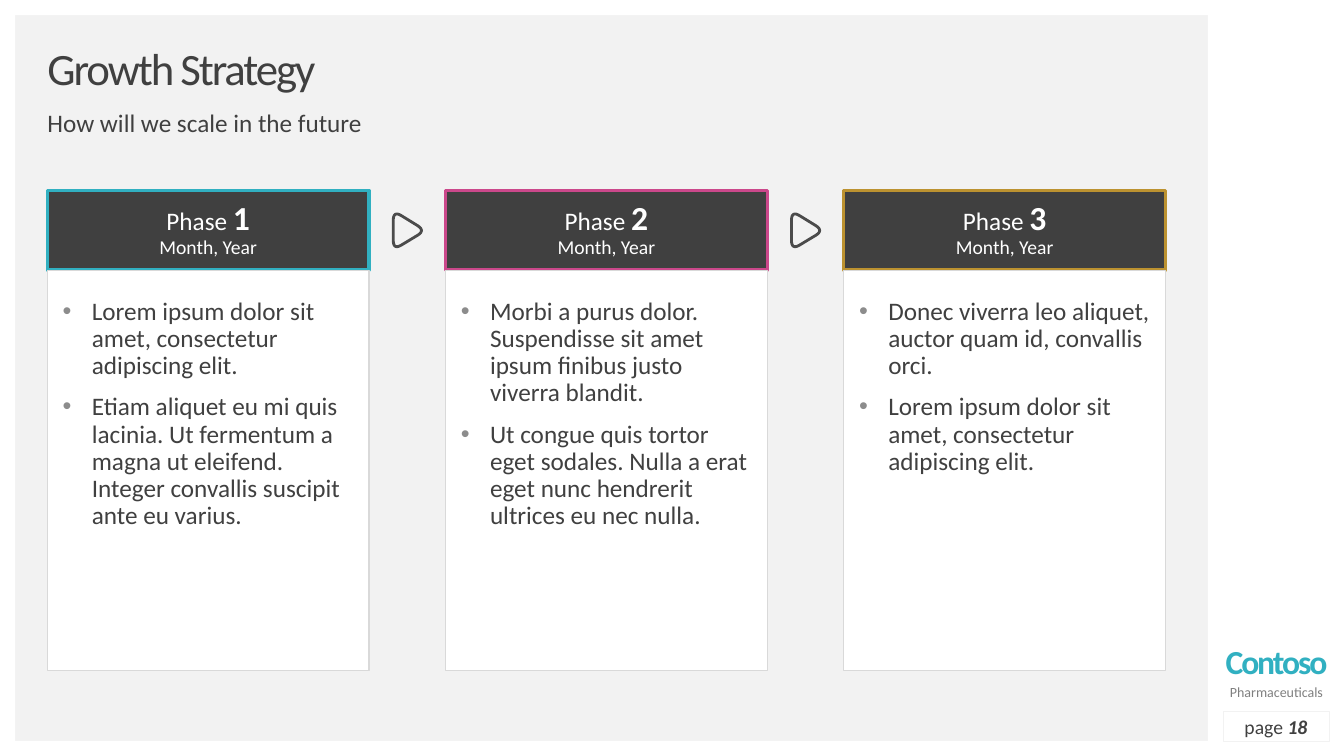
from lxml import etree
from pptx import Presentation
from pptx import util as u
from pptx.dml.color import RGBColor
from pptx.enum import shapes, text
from pptx.oxml import ns

INK, WHITE, PAPER, TEAL = "404040", "FFFFFF", "F2F2F2", "31B0C1"
# Three columns, in percent of the slide width
MARGIN, PITCH, COLUMN = 3.53, 29.63, 23.93
CONTENT_WIDTH = 2 * PITCH + COLUMN

PHASES = [
    ("1", TEAL, ["Lorem ipsum dolor sit amet, consectetur adipiscing elit.",
                 "Etiam aliquet eu mi quis lacinia. Ut fermentum a magna ut eleifend. "
                 "Integer convallis suscipit ante eu varius."]),
    ("2", "CB488B", ["Morbi a purus dolor. Suspendisse sit amet ipsum finibus justo "
                     "viverra blandit.",
                     "Ut congue quis tortor eget sodales. Nulla a erat eget nunc "
                     "hendrerit ultrices eu nec nulla."]),
    ("3", "BC9230", ["Donec viverra leo aliquet, auctor quam id, convallis orci.",
                     "Lorem ipsum dolor sit amet, consectetur adipiscing elit."]),
]


def color(hex_value):
    return RGBColor.from_string(hex_value)


def apply(target, values):
    for name, value in values.items():
        setattr(target, name, value)


class PhaseSlide:
    """Holds the style and the current slide; places are percent of its size."""

    font = "Calibri"
    bullet_color = "8C8C8C"

    def __init__(self, deck, layout):
        self.width, self.height = deck.slide_width, deck.slide_height
        self.slide = deck.slides.add_slide(deck.slide_layouts[layout])
        fill = self.slide.background.fill
        fill.solid()
        fill.fore_color.rgb = color(PAPER)

    def point(self, x, y):
        return round(self.width * x / 100), round(self.height * y / 100)

    def place(self, shape, x, y, w, h):
        left, top = self.point(x, y)
        width, height = self.point(w, h)
        apply(shape, dict(left=left, top=top, width=width, height=height))
        return shape

    def paint(self, shape, fill=None, line=None, weight=1):
        if fill:
            shape.fill.solid()
            shape.fill.fore_color.rgb = color(fill)
        else:
            shape.fill.background()
        if line:
            shape.line.color.rgb = color(line)
            shape.line.width = u.Pt(weight)
        else:
            shape.line.fill.background()

    def box(self, place, **look):
        shape = self.slide.shapes.add_shape(shapes.MSO_SHAPE.RECTANGLE, 0, 0, 0, 0)
        shape.shadow.inherit = False
        self.paint(shape, **look)
        return self.place(shape, *place)

    def textbox(self, place):
        return self.place(self.slide.shapes.add_textbox(0, 0, 0, 0), *place)

    def placeholder(self, index, place):
        return self.place(self.slide.placeholders[index], *place)

    def fill_text(self, shape, paragraphs, insets=(0, 0, 0, 0), middle=False,
                  centered=False, spacing=0.9, bullets=False):
        """Each paragraph is a list of (text, size, color, font values, tracking)."""
        frame = shape.text_frame
        left, top, right, bottom = map(u.Inches, insets)
        anchor = text.MSO_ANCHOR.MIDDLE if middle else text.MSO_ANCHOR.TOP
        apply(frame, dict(word_wrap=True, auto_size=text.MSO_AUTO_SIZE.NONE,
                          vertical_anchor=anchor, margin_left=left, margin_top=top,
                          margin_right=right, margin_bottom=bottom))
        for number, runs in enumerate(paragraphs):
            paragraph = frame.add_paragraph() if number else frame.paragraphs[0]
            align = text.PP_ALIGN.CENTER if centered else text.PP_ALIGN.LEFT
            apply(paragraph, dict(alignment=align, line_spacing=spacing,
                                  space_before=u.Pt(10 if number else 0)))
            if bullets:
                self.bullet(paragraph)
            for words, size, ink, values, tracking in runs:
                if words.startswith("\n"):
                    paragraph.add_line_break()
                run = paragraph.add_run()
                run.text = words.lstrip("\n")
                apply(run.font, dict(name=self.font, size=u.Pt(size), bold=False) | values)
                run.font.color.rgb = color(ink)
                if tracking:
                    run._r.get_or_add_rPr().set("spc", str(round(tracking * 100)))

    def bullet(self, paragraph):
        properties = paragraph._p.get_or_add_pPr()
        indent = u.Inches(0.29)
        properties.set("marL", str(indent))
        properties.set("indent", str(-indent))
        tint = etree.SubElement(properties, ns.qn("a:buClr"))
        etree.SubElement(tint, ns.qn("a:srgbClr")).set("val", self.bullet_color)
        etree.SubElement(properties, ns.qn("a:buFont")).set("typeface", "Arial")
        etree.SubElement(properties, ns.qn("a:buChar")).set("char", "•")

    def rounded_arrow(self, x):
        """A triangle pointing right, each corner a curve over a quarter of its edges."""
        corners = [(x, 27.87), (x + 2.4, 30.5), (x, 33.07)]
        outline = []
        for i, corner in enumerate(corners):
            before, after = corners[i - 1], corners[(i + 1) % 3]
            start, end = ([c + (o - c) / 4 for c, o in zip(corner, other)]
                          for other in (before, after))
            for t in (step / 8 for step in range(9)):
                outline.append(self.point(*(
                    (1 - t) ** 2 * s + 2 * t * (1 - t) * c + t * t * e
                    for s, c, e in zip(start, corner, end))))
        builder = self.slide.shapes.build_freeform(*outline[0])
        builder.add_line_segments(outline[1:], close=True)
        arrow = builder.convert_to_shape()
        arrow.shadow.inherit = False
        self.paint(arrow, line="4B4B4B", weight=2)


def main():
    deck = Presentation()
    deck.slide_width, deck.slide_height = u.Inches(13.33), u.Inches(7.5)
    page = PhaseSlide(deck, layout=4)

    # White frame with the wide band on the right
    for band in [(0, 0, 100, 2), (0, 0, 1.13, 100), (89.88, 0, 10.12, 100), (0, 98, 100, 2)]:
        page.box(band, fill=WHITE)

    # Title and subtitle
    title = page.placeholder(0, (MARGIN, 6.27, CONTENT_WIDTH, 6.27))
    page.fill_text(title, [[("Growth Strategy", 32, INK, {}, -1.5)]], middle=True)
    subtitle = page.placeholder(1, (MARGIN, 14.67, CONTENT_WIDTH, 3.73))
    page.fill_text(subtitle, [[("How will we scale in the future", 18, INK, {}, 0)]])

    # Phases: a dark heading above a white list
    for column, (phase, accent, goals) in enumerate(PHASES):
        x = MARGIN + column * PITCH
        heading = page.box((x, 25.2, COLUMN, 10.53), fill=INK, line=accent, weight=2.25)
        page.fill_text(heading, [[("Phase ", 18, WHITE, {}, 0),
                                  (phase, 24, WHITE, {"bold": True}, 0),
                                  ("\nMonth, Year", 14, WHITE, {}, 0)]],
                       insets=(0.12, 0.04, 0.12, 0.04), middle=True, centered=True)
        goal_list = page.placeholder(2 + column, (x, 35.73, COLUMN, 52.93))
        page.paint(goal_list, fill=WHITE, line="D9D9D9", weight=0.75)
        page.fill_text(goal_list, [[(goal, 18, INK, {}, 0)] for goal in goals],
                       insets=(0.15, 0.28, 0.15, 0), bullets=True)
        # The list overlaps the lower edge of its heading
        goal_list._element.addprevious(heading._element)

    # Arrows between the phases
    for column in range(len(PHASES) - 1):
        page.rounded_arrow(MARGIN + column * PITCH + 25.73)

    # Company name and page number
    company = page.textbox((90.55, 87.47, 8.85, 5.2))
    page.fill_text(company, [[("Contoso", 24, TEAL, {"bold": True}, -1.5),
                              ("\nPharmaceuticals", 10, "808080", {}, 0)]],
                   centered=True, spacing=u.Pt(14))
    page_number = page.box((91, 94.13, 7.88, 3.87), line=PAPER, weight=0.25)
    page.fill_text(page_number, [[("page ", 14, INK, {}, 0),
                                  ("18", 14, INK, {"bold": True, "italic": True}, 0)]],
                   middle=True, centered=True, spacing=1.0)

    deck.save("out.pptx")


if __name__ == "__main__":
    main()
